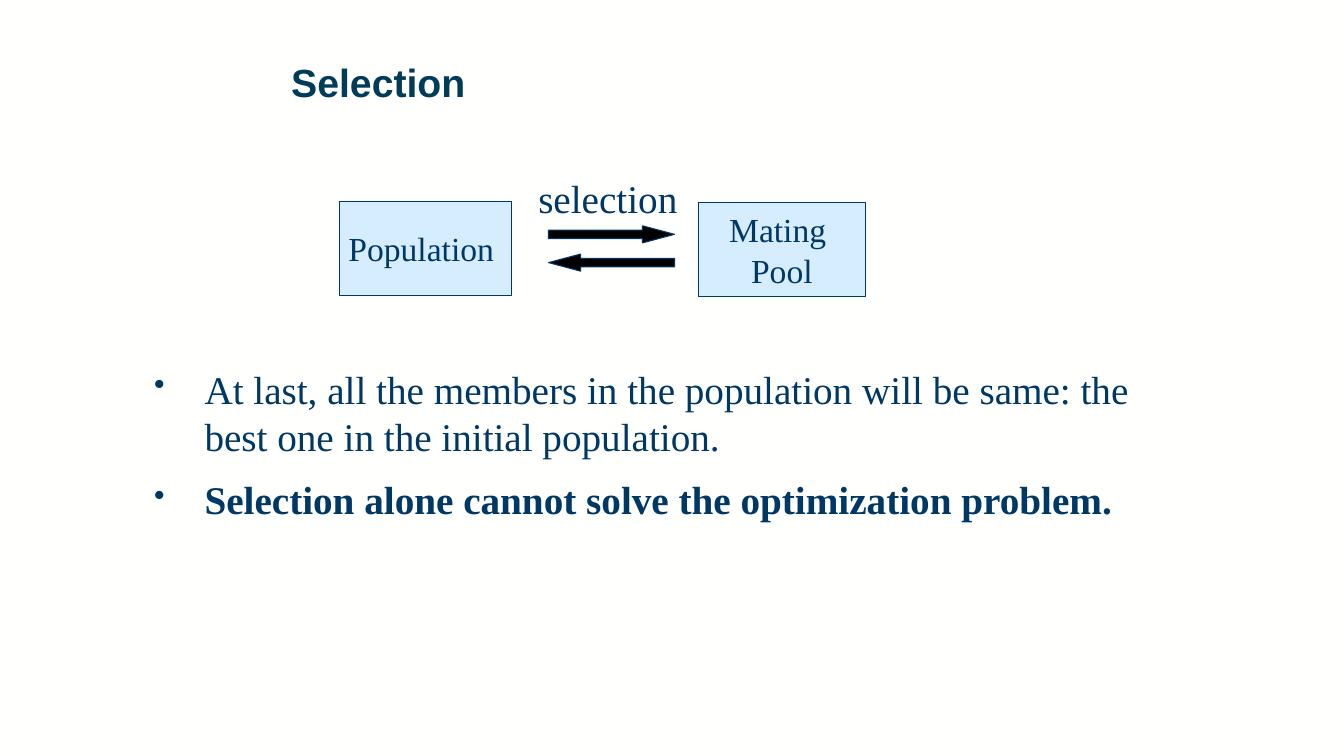
from dataclasses import dataclass

from lxml import etree
from pptx import Presentation
from pptx.dml.color import RGBColor
from pptx.enum.shapes import MSO_SHAPE
from pptx.enum.text import MSO_ANCHOR, PP_ALIGN
from pptx.oxml.ns import qn
from pptx.util import Inches, Pt

RECTANGLE, ARROW = MSO_SHAPE.RECTANGLE, MSO_SHAPE.RIGHT_ARROW
TOP, MIDDLE = MSO_ANCHOR.TOP, MSO_ANCHOR.MIDDLE
LEFT, CENTER = PP_ALIGN.LEFT, PP_ALIGN.CENTER


@dataclass(frozen=True)
class Theme:
    paper: str = "FFFFFE"
    heading: str = "003B58"
    ink: str = "003865"
    box: str = "D6EDFF"
    arrow: str = "000000"
    heading_font: str = "Arial"
    body_font: str = "Times New Roman"
    large: int = 28
    small: int = 24
    outline: float = 0.75


THEME = Theme()
WIDTH, HEIGHT = 13.33, 7.5

TITLE = "Selection"
ARROW_LABEL = "selection"
# lines, (left, top, width, height)
STAGES = [
    (["Population "], (3.37, 2.0, 1.7, 0.93)),
    (["Mating ", "Pool"], (6.93, 2.01, 1.65, 0.93)),
]
# text, bold
POINTS = [
    ("At last, all the members in the population will be same: "
     "the best one in the initial population.", False),
    ("Selection alone cannot solve the optimization problem.", True),
]
TITLE_AREA = (2.79, 0.58, 10.07, 0.97)
POINTS_AREA = (1.43, 3.57, 10.48, 2.32)
LABEL_AREA = (5.24, 1.68, 1.58, 0.57)
ARROW_LEFT, ARROW_TOP, ARROW_WIDTH, ARROW_HEIGHT = 5.44, 2.24, 1.25, 0.17
ARROW_STEP = 0.28
ARROW_TURNS = [0, 180]
BULLET_INDENT = 0.5


def inches(area):
    return [Inches(value) for value in area]


def write(frame, lines, size=THEME.large, font=THEME.body_font, color=THEME.ink,
          align=LEFT, anchor=TOP, wrap=True, bullets=False, **spacing):
    """Fill a text frame with (text, bold) lines in one style."""
    frame.word_wrap = wrap
    frame.vertical_anchor = anchor
    for index, (text, bold) in enumerate(lines):
        para = frame.add_paragraph() if index else frame.paragraphs[0]
        para.alignment = align
        for name, value in spacing.items():
            if index or name != "space_before":
                setattr(para, name, value)
        if bullets:
            add_bullet(para)
        span = para.add_run()
        span.text = text
        span.font.color.rgb = RGBColor.from_string(color)
        for name, value in {"size": Pt(size), "name": font, "bold": bold}.items():
            setattr(span.font, name, value)


def add_bullet(para):
    properties = para._p.get_or_add_pPr()
    properties.set("marL", str(Inches(BULLET_INDENT)))
    properties.set("indent", str(-Inches(BULLET_INDENT)))
    color = etree.SubElement(properties, qn("a:buClr"))
    etree.SubElement(color, qn("a:srgbClr"), val=THEME.ink)
    etree.SubElement(properties, qn("a:buSzPct"), val="80000")
    etree.SubElement(properties, qn("a:buChar"), char="•")


def add_outlined(page, kind, area, fill):
    shape = page.shapes.add_shape(kind, *inches(area))
    shape.shadow.inherit = False
    shape.fill.solid()
    shape.fill.fore_color.rgb = RGBColor.from_string(fill)
    shape.line.color.rgb = RGBColor.from_string(THEME.ink)
    shape.line.width = Pt(THEME.outline)
    return shape


def add_text(page, area, lines, **style):
    write(page.shapes.add_textbox(*inches(area)).text_frame, lines, **style)


def main():
    deck = Presentation()
    deck.slide_width, deck.slide_height = inches((WIDTH, HEIGHT))
    page = deck.slides.add_slide(deck.slide_layouts[6])
    page.background.fill.solid()
    page.background.fill.fore_color.rgb = RGBColor.from_string(THEME.paper)

    add_text(page, TITLE_AREA, [(TITLE, True)], font=THEME.heading_font,
             color=THEME.heading, line_spacing=0.9)
    add_text(page, POINTS_AREA, POINTS, bullets=True, space_before=Pt(12))

    for lines, area in STAGES:
        stage = add_outlined(page, RECTANGLE, area, THEME.box)
        write(stage.text_frame, [(line, False) for line in lines],
              size=THEME.small, align=CENTER, anchor=MIDDLE, wrap=False)

    add_text(page, LABEL_AREA, [(ARROW_LABEL, False)], wrap=False)
    for row, turn in enumerate(ARROW_TURNS):
        top = ARROW_TOP + row * ARROW_STEP
        arrow = add_outlined(page, ARROW, (ARROW_LEFT, top, ARROW_WIDTH, ARROW_HEIGHT),
                             THEME.arrow)
        arrow.adjustments[0] = 0.5
        arrow.adjustments[1] = 1.875
        arrow.rotation = turn

    deck.save("out.pptx")


if __name__ == "__main__":
    main()
